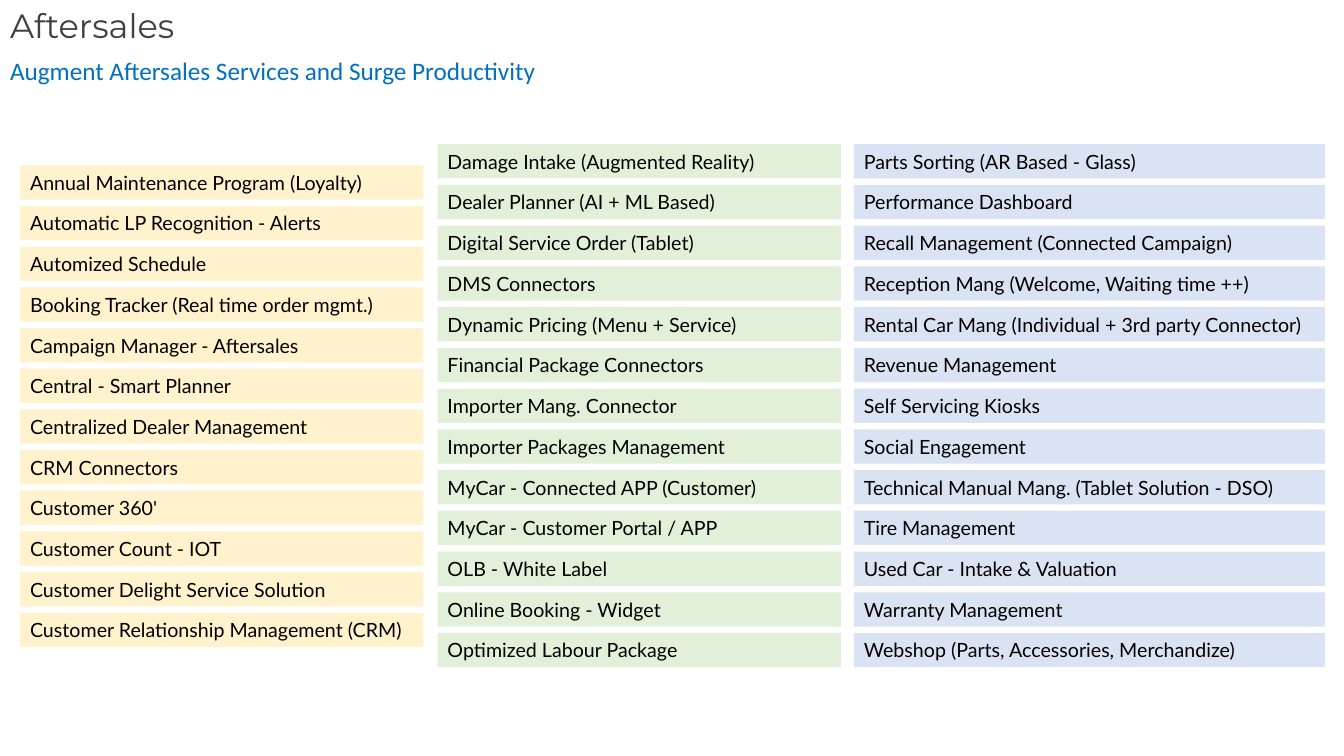
from dataclasses import dataclass

from pptx import Presentation
from pptx.dml.color import RGBColor as RGB
from pptx.enum.shapes import MSO_SHAPE as SHAPE
from pptx.enum.text import MSO_ANCHOR as ANCHOR, MSO_AUTO_SIZE as AUTO, PP_ALIGN as ALIGN
from pptx.util import Emu, Pt

PX = 9144  # 100 px to the inch


@dataclass(frozen=True)
class Theme:
    title_font: str = "Montserrat"
    subtitle_font: str = "Calibri"
    item_font: str = "Lato"
    title_size: int = 24
    subtitle_size: int = 18
    item_size: int = 14
    title_color: str = "404040"
    subtitle_color: str = "0070C0"
    item_color: str = "000000"
    yellow: str = "FFF2CC"
    green: str = "E2F0D9"
    blue: str = "DAE3F3"


THEME = Theme()
BAR_HEIGHT = 34

CUSTOMER_ITEMS = [
    "Annual Maintenance Program (Loyalty)",
    "Automatic LP Recognition - Alerts",
    "Automized Schedule",
    "Booking Tracker (Real time order mgmt.)",
    "Campaign Manager - Aftersales",
    "Central - Smart Planner",
    "Centralized Dealer Management",
    "CRM Connectors",
    "Customer 360'",
    "Customer Count - IOT",
    "Customer Delight Service Solution",
    "Customer Relationship Management (CRM)",
]
DEALER_ITEMS = [
    "Damage Intake (Augmented Reality)",
    "Dealer Planner (AI + ML Based)",
    "Digital Service Order (Tablet)",
    "DMS Connectors",
    "Dynamic Pricing (Menu + Service)",
    "Financial Package Connectors",
    "Importer Mang. Connector",
    "Importer Packages Management",
    "MyCar - Connected APP (Customer)",
    "MyCar - Customer Portal / APP",
    "OLB - White Label",
    "Online Booking - Widget",
    "Optimized Labour Package",
]
SERVICE_ITEMS = [
    "Parts Sorting (AR Based - Glass)",
    "Performance Dashboard",
    "Recall Management (Connected Campaign)",
    "Reception Mang (Welcome, Waiting time ++)",
    "Rental Car Mang (Individual + 3rd party Connector)",
    "Revenue Management",
    "Self Servicing Kiosks",
    "Social Engagement",
    "Technical Manual Mang. (Tablet Solution - DSO)",
    "Tire Management",
    "Used Car - Intake & Valuation",
    "Warranty Management",
    "Webshop (Parts, Accessories, Merchandize)",
]


def px(n):
    return Emu(round(n * PX))


def set_text(sp, text, font, size, color, anchor):
    tf = sp.text_frame
    tf.text = text
    tf.word_wrap = True
    tf.auto_size = AUTO.NONE
    tf.vertical_anchor = anchor
    p = tf.paragraphs[0]
    p.alignment = ALIGN.LEFT
    p.line_spacing = 1.0
    p.space_before = Pt(0)
    p.font.name = font
    p.font.size = Pt(size)
    p.font.color.rgb = RGB.from_string(color)


def fill_placeholder(sp, box, text, font, size, color):
    sp.left, sp.top, sp.width, sp.height = map(px, box)
    set_text(sp, text, font, size, color, ANCHOR.TOP)


def add_bar(shapes, x, y, w, text, fill):
    sp = shapes.add_shape(SHAPE.RECTANGLE, px(x), px(y), px(w), px(BAR_HEIGHT))
    sp.shadow.inherit = False
    sp.fill.solid()
    sp.fill.fore_color.rgb = RGB.from_string(fill)
    sp.line.fill.background()
    set_text(sp, text, THEME.item_font, THEME.item_size, THEME.item_color, ANCHOR.MIDDLE)


def add_column(s, x, w, first, last, items, fill):
    """Group of bars spread evenly; first and last are the tops of the end bars."""
    group = s.shapes.add_group_shape()
    pitch = (last - first) / (len(items) - 1)
    for i, item in enumerate(items):
        add_bar(group.shapes, x, first + i * pitch, w, item, fill)


def main():
    prs = Presentation()
    prs.slide_width, prs.slide_height = px(1333), px(750)
    s = prs.slides.add_slide(prs.slide_layouts[0])

    fill_placeholder(s.shapes.title, (0, 0, 210, 50), "Aftersales",
                     THEME.title_font, THEME.title_size, THEME.title_color)
    fill_placeholder(s.placeholders[1], (0, 50, 777, 40),
                     "Augment Aftersales Services and Surge Productivity",
                     THEME.subtitle_font, THEME.subtitle_size, THEME.subtitle_color)

    add_column(s, 20, 400, 164, 608, CUSTOMER_ITEMS, THEME.yellow)
    add_column(s, 434, 400, 143, 628, DEALER_ITEMS, THEME.green)
    add_column(s, 847, 467, 143, 628, SERVICE_ITEMS, THEME.blue)

    prs.save("out.pptx")


if __name__ == "__main__":
    main()
